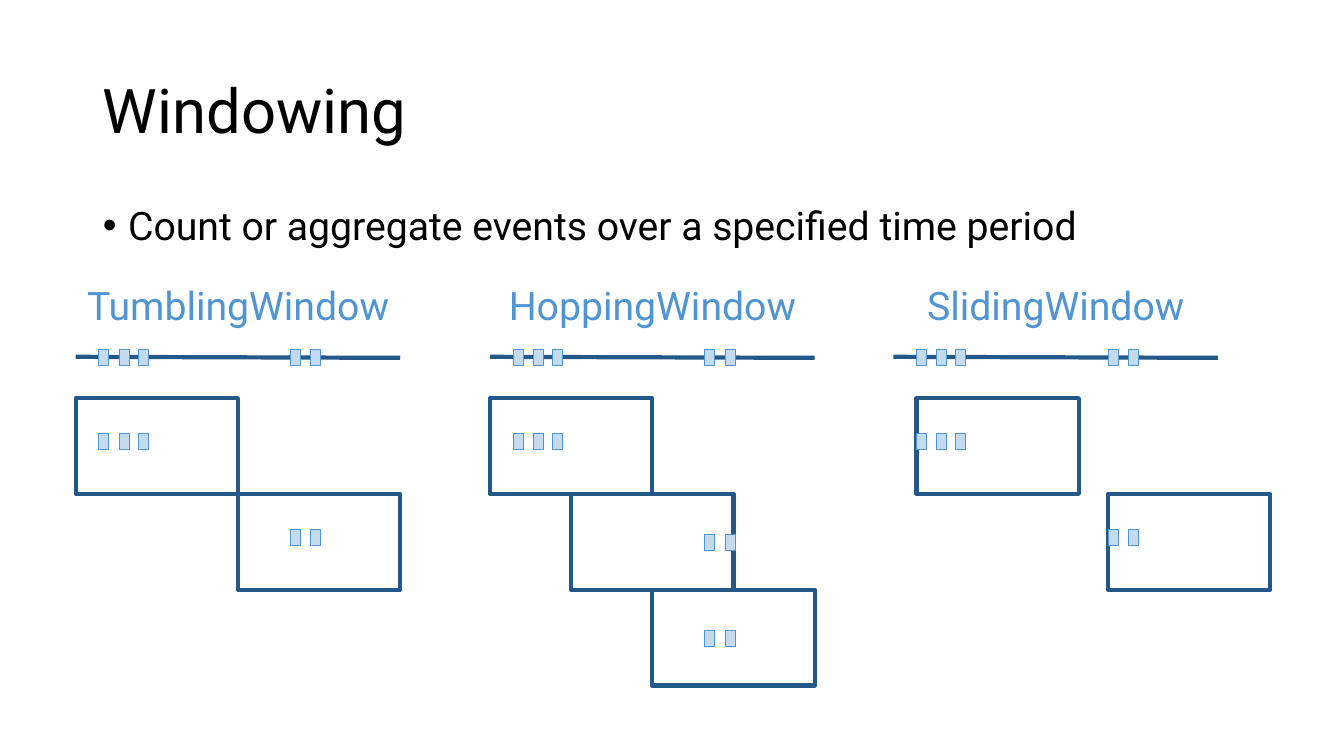
from dataclasses import dataclass

from lxml.etree import SubElement
from pptx import Presentation
from pptx.dml.color import RGBColor
from pptx.enum.shapes import MSO_CONNECTOR, MSO_SHAPE
from pptx.enum.text import MSO_ANCHOR, MSO_AUTO_SIZE, PP_ALIGN
from pptx.oxml.ns import qn
from pptx.util import Inches, Pt


@dataclass(frozen=True)
class Theme:
    font: str = "Roboto"
    text: RGBColor = RGBColor.from_string("000000")
    dark: RGBColor = RGBColor.from_string("235888")
    accent: RGBColor = RGBColor.from_string("5095D1")
    pale: RGBColor = RGBColor.from_string("C4DBEF")
    title_size: Pt = Pt(44)
    text_size: Pt = Pt(28)
    heavy_line: Pt = Pt(3)
    thin_line: Pt = Pt(0.5)


theme = Theme()


def write(paragraph, text, size, color, align):
    paragraph.text = text
    paragraph.alignment = align
    paragraph.line_spacing = 0.9
    paragraph.space_before = Pt(0)
    paragraph.font.name = theme.font
    paragraph.font.size = size
    paragraph.font.color.rgb = color


def add_box(left, top, width, height, line_color, line_width, fill=None):
    box = slide.shapes.add_shape(MSO_SHAPE.RECTANGLE, Inches(left), Inches(top),
                                 Inches(width), Inches(height))
    box.shadow.inherit = False
    if fill is None:
        box.fill.background()
    else:
        box.fill.solid()
        box.fill.fore_color.rgb = fill
    box.line.color.rgb = line_color
    box.line.width = line_width


prs = Presentation()
prs.slide_width = Inches(13.33)
prs.slide_height = Inches(7.5)
slide = prs.slides.add_slide(prs.slide_layouts[1])

# Title
title = slide.shapes.title
title.left, title.top = Inches(0.92), Inches(0.4)
title.width, title.height = Inches(11.5), Inches(1.45)
title.text_frame.vertical_anchor = MSO_ANCHOR.MIDDLE
write(title.text_frame.paragraphs[0], "Windowing",
      theme.title_size, theme.text, PP_ALIGN.LEFT)

# Definition
definition = slide.placeholders[1]
definition.left, definition.top = Inches(0.92), Inches(2)
definition.width, definition.height = Inches(11.5), Inches(4.76)
bullet = definition.text_frame.paragraphs[0]
bullet_props = bullet._p.get_or_add_pPr()
bullet_props.set("marL", str(Inches(0.25)))
bullet_props.set("indent", str(Inches(-0.25)))
SubElement(bullet_props, qn("a:buFont"), typeface="Arial")
SubElement(bullet_props, qn("a:buChar"), char="•")
write(bullet, "Count or aggregate events over a specified time period",
      theme.text_size, theme.text, PP_ALIGN.LEFT)

# Event times, measured from the start of a timeline
FIRST_BURST = [0.23, 0.43, 0.62]
SECOND_BURST = [2.13, 2.33]
TIMELINE_WIDTH, TIMELINE_TOP = 3.22, 3.54
WINDOW_WIDTH, WINDOW_HEIGHT, FIRST_ROW = 1.61, 0.95, 3.95
EVENT_WIDTH, EVENT_HEIGHT = 0.1, 0.16

# Each window: start time, events it holds, gap from its top to the events
window_types = [
    ("TumblingWindow", 0.75, [(0, FIRST_BURST, 0.35),
                              (WINDOW_WIDTH, SECOND_BURST, 0.35)]),
    ("HoppingWindow", 4.86, [(0, FIRST_BURST, 0.35),
                             (WINDOW_WIDTH / 2, SECOND_BURST, 0.4),
                             (WINDOW_WIDTH, SECOND_BURST, 0.4)]),
    ("SlidingWindow", 8.86, [(FIRST_BURST[0], FIRST_BURST, 0.35),
                             (SECOND_BURST[0], SECOND_BURST, 0.35)]),
]

for name, left, windows in window_types:
    # Heading
    heading = slide.shapes.add_textbox(Inches(left), Inches(2.84),
                                       Inches(TIMELINE_WIDTH), Inches(0.42))
    frame = heading.text_frame
    frame.word_wrap = True
    frame.auto_size = MSO_AUTO_SIZE.SHAPE_TO_FIT_TEXT
    frame.margin_left = frame.margin_right = 0
    frame.margin_top = frame.margin_bottom = 0
    write(frame.paragraphs[0], name, theme.text_size, theme.accent, PP_ALIGN.CENTER)

    # Timeline
    timeline = slide.shapes.add_connector(
        MSO_CONNECTOR.STRAIGHT, Inches(left), Inches(TIMELINE_TOP),
        Inches(left + TIMELINE_WIDTH), Inches(TIMELINE_TOP + 0.01))
    timeline.line.color.rgb = theme.dark
    timeline.line.width = theme.heavy_line
    SubElement(timeline._element.spPr, qn("a:effectLst"))

    # Windows, one row each
    event_rows = [(3.47, FIRST_BURST + SECOND_BURST)]
    for row, (start, events, gap) in enumerate(windows):
        top = FIRST_ROW + row * WINDOW_HEIGHT
        add_box(left + start, top, WINDOW_WIDTH, WINDOW_HEIGHT,
                theme.dark, theme.heavy_line)
        event_rows.append((top + gap, events))

    # Events on the timeline and in the windows
    for top, events in event_rows:
        for time in events:
            add_box(left + time, top, EVENT_WIDTH, EVENT_HEIGHT,
                    theme.accent, theme.thin_line, theme.pale)

prs.save("out.pptx")
